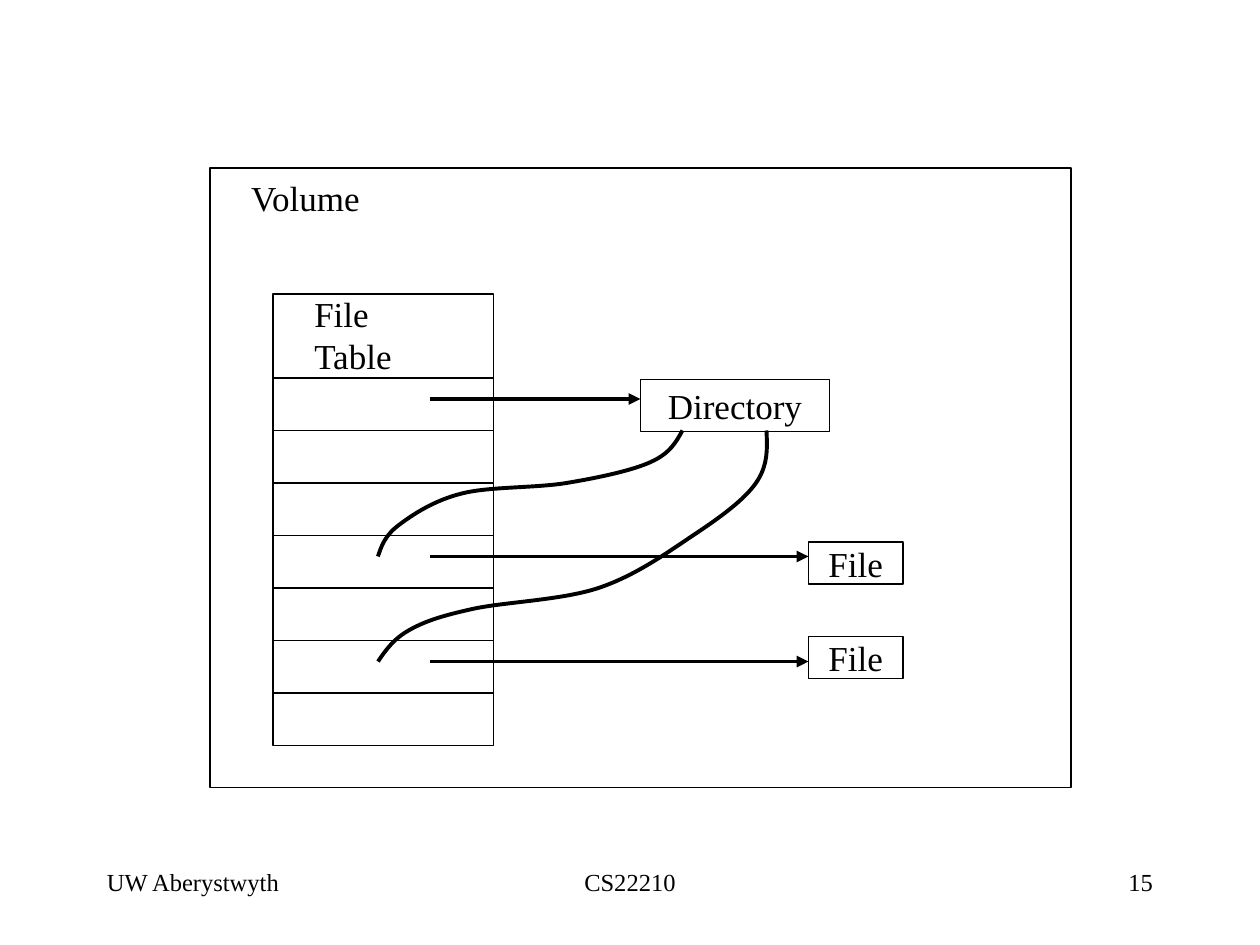
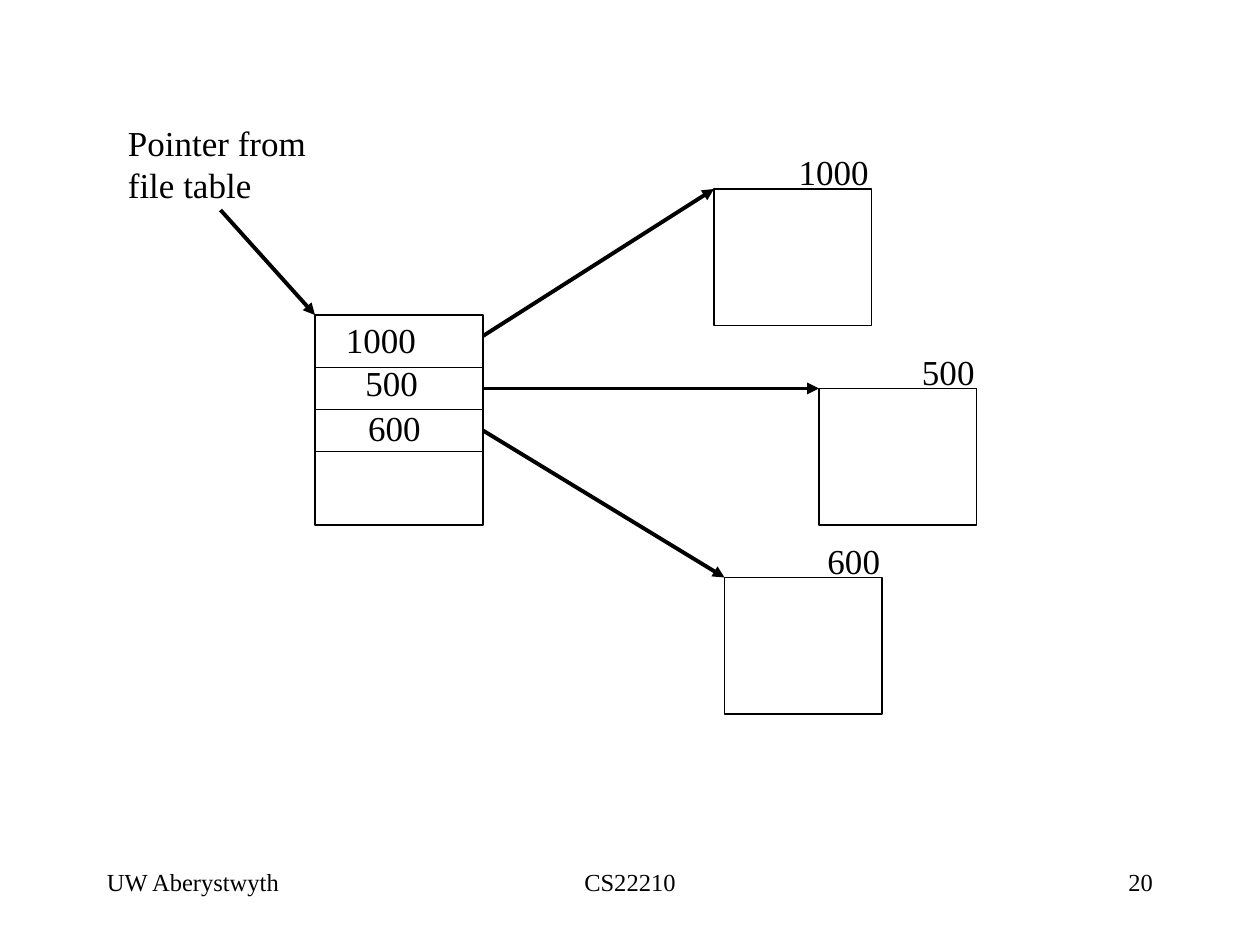
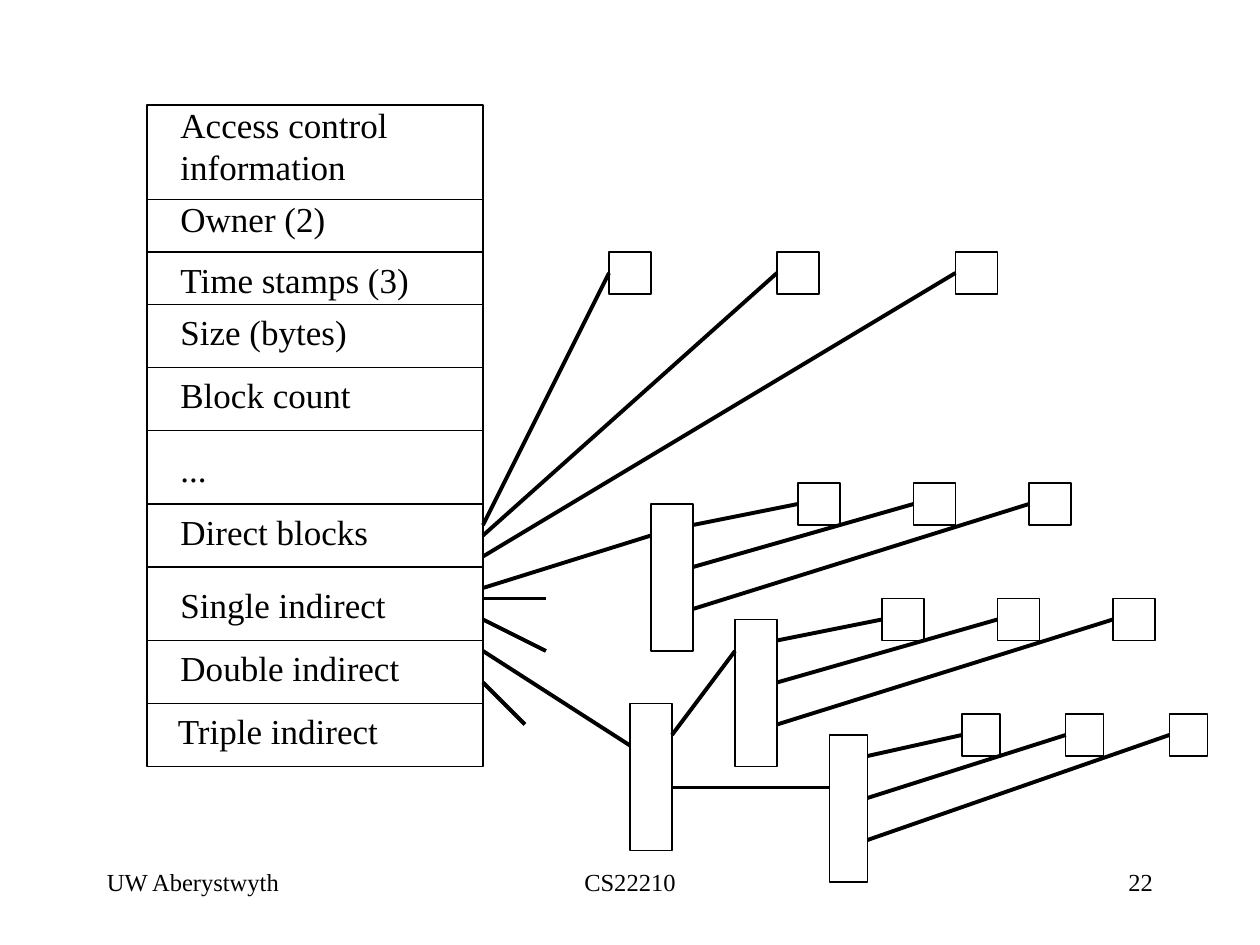
import lxml.etree
import pptx
import pptx.dml.color
import pptx.enum.shapes
import pptx.enum.text
import pptx.oxml.ns
import pptx.util

PX = 9525
BLACK = pptx.dml.color.RGBColor(0x00, 0x00, 0x00)
FONT = "Times New Roman"
THIN = 0.75
THICK = 2.25
LINE_HEIGHT = 32
LABEL_PADDING = 10
LEFT = pptx.enum.text.PP_ALIGN.LEFT
CENTER = pptx.enum.text.PP_ALIGN.CENTER
RIGHT = pptx.enum.text.PP_ALIGN.RIGHT
TOP = pptx.enum.text.MSO_ANCHOR.TOP
MIDDLE = pptx.enum.text.MSO_ANCHOR.MIDDLE
FIXED = pptx.enum.text.MSO_AUTO_SIZE.NONE
GROW = pptx.enum.text.MSO_AUTO_SIZE.SHAPE_TO_FIT_TEXT
qn = pptx.oxml.ns.qn


def emu(*lengths):
    return [pptx.util.Emu(round(length * PX)) for length in lengths]


def write_text(shape, text, size=20, align=LEFT, anchor=TOP, wrap=False, auto_size=FIXED):
    frame = shape.text_frame
    frame.word_wrap = wrap
    frame.auto_size = auto_size
    frame.vertical_anchor = anchor
    paragraph = frame.paragraphs[0]
    paragraph.text = text
    paragraph.alignment = align
    for run in paragraph.runs:
        run.font.name = FONT
        run.font.size = pptx.util.Pt(size)
        run.font.color.rgb = BLACK


def style_line(shape, weight):
    shape.line.color.rgb = BLACK
    shape.line.width = pptx.util.Pt(weight)


def add_label(slide, text, left, top, width):
    height = LABEL_PADDING + LINE_HEIGHT * len(text.split("\n"))
    label = slide.shapes.add_textbox(*emu(left, top, width, height))
    write_text(label, text, auto_size=GROW)


def add_box(slide, left, top, width, height, text=""):
    rectangle = pptx.enum.shapes.MSO_SHAPE.RECTANGLE
    box = slide.shapes.add_shape(rectangle, *emu(left, top, width, height))
    box.shadow.inherit = False
    box.fill.background()
    style_line(box, THIN)
    if text:
        write_text(box, text, align=CENTER, anchor=MIDDLE)


def add_line(slide, start, end, weight=THICK, arrow=False):
    straight = pptx.enum.shapes.MSO_CONNECTOR.STRAIGHT
    line = slide.shapes.add_connector(straight, *emu(*start, *end))
    style_line(line, weight)
    if arrow:
        lxml.etree.SubElement(line.line._get_or_add_ln(), qn("a:tailEnd"), type="triangle")
    lxml.etree.SubElement(line._element.spPr, qn("a:effectLst"))


def add_divided_box(slide, left, top, width, height, dividers):
    add_box(slide, left, top, width, height)
    for y in dividers:
        add_line(slide, (left, y), (left + width, y), weight=THIN)


def midpoint(first, second):
    return tuple((a + b) / 2 for a, b in zip(first, second))


def smooth_segments(knots):
    tangents = [tuple((b - a) / 6 for a, b in zip(before, after))
                for before, after in zip(knots, knots[2:])]
    inner = knots[1:-1]
    arriving = [tuple(k - t for k, t in zip(*pair)) for pair in zip(inner, tangents)]
    leaving = [tuple(k + t for k, t in zip(*pair)) for pair in zip(inner, tangents)]
    leaving.insert(0, midpoint(knots[0], arriving[0]))
    arriving.append(midpoint(knots[-1], leaving[-1]))
    return zip(leaving, arriving, knots[1:])


def add_curve(slide, knots):
    builder = slide.shapes.build_freeform(*emu(*knots[0]))
    builder.add_line_segments([emu(*knot) for knot in knots[1:]], close=False)
    curve = builder.convert_to_shape()
    curve.shadow.inherit = False
    curve.fill.background()
    style_line(curve, THICK)
    straight_segments = list(curve._element.iter(qn("a:lnTo")))
    for segment, controls in zip(straight_segments, smooth_segments(knots)):
        bezier = lxml.etree.Element(qn("a:cubicBezTo"))
        for control in controls:
            x, y = emu(*control)
            lxml.etree.SubElement(bezier, qn("a:pt"), x=str(x - curve.left), y=str(y - curve.top))
        segment.getparent().replace(segment, bezier)


def add_index_block(slide, left, top, stretch=1.0):
    width = round(32 * stretch)
    add_box(slide, left, top, width, 112)
    for index in range(3):
        data_left = left + round((112 + 88 * index) * stretch)
        add_box(slide, data_left, top - 16, width, 32)
        add_line(slide, (left + width, top + 16 + 32 * index), (data_left, top))


def add_footer(slide, number):
    footers = (("UW Aberystwyth", 72, 200, LEFT),
               ("CS22210", 328, 304, CENTER),
               (number, 688, 200, RIGHT))
    for text, left, width, align in footers:
        footer = slide.shapes.add_textbox(*emu(left, 656, width, 48))
        write_text(footer, text, size=14, align=align, wrap=True)


def draw_volume(slide):
    add_box(slide, 160, 128, 656, 472)
    add_label(slide, "Volume", 182, 130, 105)
    add_divided_box(slide, 208, 224, 168, 344, range(288, 568, 40))
    add_label(slide, "File\nTable", 230, 218, 80)
    add_box(slide, 488, 289, 144, 40, "Directory")
    for top in (413, 485):
        add_box(slide, 616, top, 72, 32, "File")
    for y, end in ((304, 488), (424, 616), (504, 616)):
        add_line(slide, (328, y), (end, y), arrow=True)
    add_curve(slide, [(520, 328), (496, 352), (432, 368), (352, 376), (304, 400), (288, 424)])
    add_curve(slide, [(584, 328), (576, 368), (528, 408), (456, 448),
                      (360, 464), (312, 480), (288, 504)])


def draw_file_index(slide):
    add_divided_box(slide, 240, 240, 128, 160, (280, 312, 344))
    entries = (("1000", 73, (254, 238), 256, (544, 144)),
               ("500", 59, (269, 271), 296, (624, 296)),
               ("600", 59, (271, 305), 328, (552, 440)))
    for text, width, entry, arrow_y, block in entries:
        left, top = block
        add_label(slide, text, *entry, width)
        add_box(slide, left, top, 120, 104)
        add_label(slide, text, left + 128 - width, top - 34, width)
        add_line(slide, (368, arrow_y), block, arrow=True)
    add_label(slide, "Pointer from\nfile table", 88, 88, 155)
    add_line(slide, (168, 160), (240, 240), arrow=True)


def draw_inode(slide):
    add_divided_box(slide, 112, 80, 256, 504,
                    (152, 192, 232, 280, 328, 384, 432, 488, 536))
    fields = (("Access control\ninformation", 74, 177), ("Owner (2)", 146, 130),
              ("Time stamps (3)", 192, 194), ("Size (bytes)", 232, 146),
              ("Block count", 280, 149), ("...", 336, 39),
              ("Direct blocks", 384, 163), ("Single indirect", 440, 176),
              ("Double indirect", 488, 186))
    for text, top, width in fields:
        add_label(slide, text, 128, top, width)
    add_label(slide, "Triple indirect", 126, 536, 173)
    for start_y, left in ((400, 464), (408, 592), (424, 728)):
        add_line(slide, (368, start_y), (left, 208))
        add_box(slide, left, 192, 32, 32)
    add_box(slide, 480, 536, 32, 112)
    add_index_block(slide, 496, 384)
    add_index_block(slide, 560, 472)
    add_index_block(slide, 632, 560, stretch=0.9)
    links = (((368, 448), (496, 408)), ((368, 496), (480, 568)),
             ((512, 560), (560, 496)), ((512, 600), (632, 600)),
             ((368, 456), (416, 456)), ((368, 472), (416, 496)),
             ((368, 520), (400, 552)))
    for start, end in links:
        add_line(slide, start, end)


def main():
    presentation = pptx.Presentation()
    presentation.slide_width, presentation.slide_height = emu(960, 720)
    blank_layout = presentation.slide_layouts[6]
    for draw, number in ((draw_volume, "15"), (draw_file_index, "20"), (draw_inode, "22")):
        slide = presentation.slides.add_slide(blank_layout)
        draw(slide)
        add_footer(slide, number)
    presentation.save("out.pptx")


if __name__ == "__main__":
    main()
